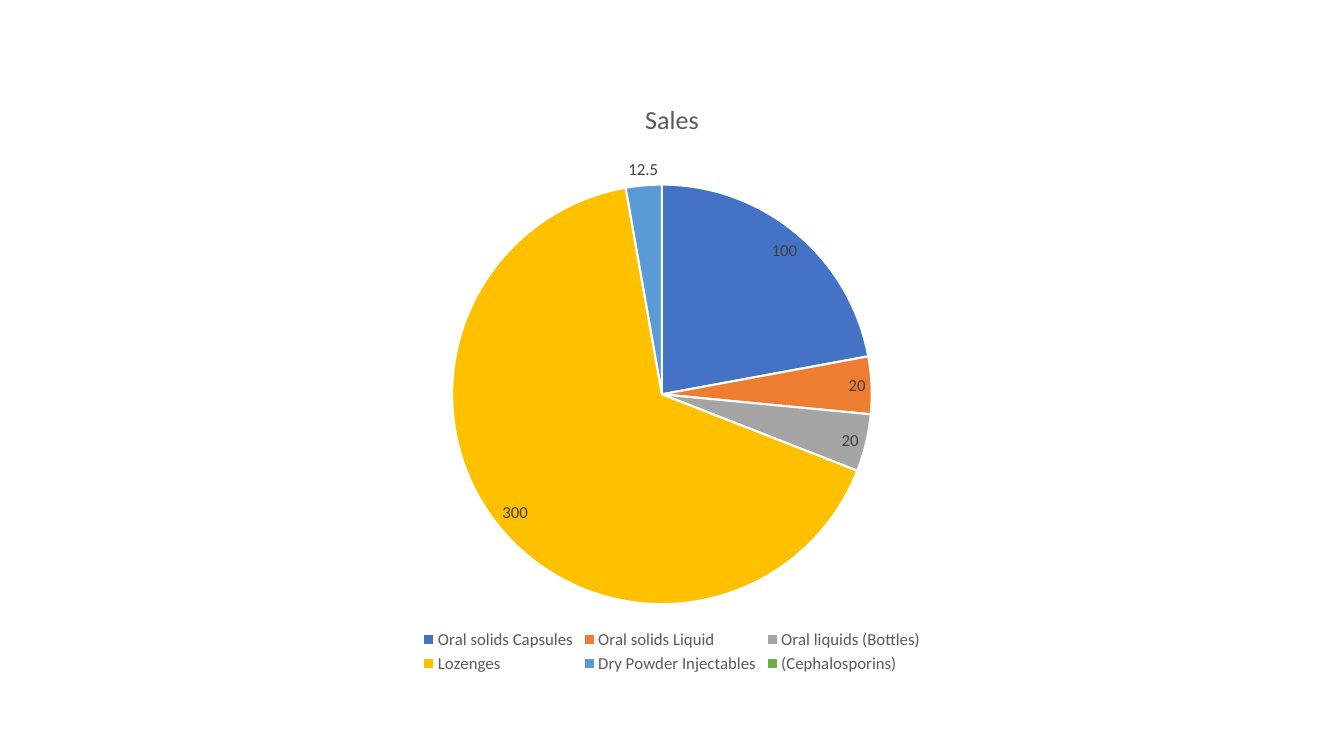
from dataclasses import dataclass
from typing import NamedTuple, Optional

from pptx import Presentation
from pptx.chart.chart import Chart
from pptx.chart.data import CategoryChartData
from pptx.dml.color import RGBColor
from pptx.enum.chart import XL_CHART_TYPE, XL_LABEL_POSITION, XL_LEGEND_POSITION
from pptx.slide import Slide
from pptx.text.text import Font
from pptx.util import Inches, Pt


@dataclass(frozen=True)
class Theme:
    """Font, colours and type sizes of the slide."""
    font: str = "Calibri"
    text: str = "595959"
    label: str = "404040"
    border: str = "FFFFFF"
    title_size: float = 18.6
    body_size: float = 12


class Slice(NamedTuple):
    """One product group of the pie."""
    name: str
    sales: Optional[float]
    color: str


THEME = Theme()
SLICES = [
    Slice("Oral solids Capsules", 100, "4472C4"),
    Slice("Oral solids Liquid", 20, "ED7D31"),
    Slice("Oral liquids (Bottles)", 20, "A5A5A5"),
    Slice("Lozenges", 300, "FFC000"),
    Slice("Dry Powder Injectables", 12.5, "5B9BD5"),
    Slice("(Cephalosporins)", None, "70AD47"),
]


def style_font(font: Font, size: float, color: str) -> None:
    """Set typeface, size and colour, without bold."""
    font.name = THEME.font
    font.size = Pt(size)
    font.bold = False
    font.color.rgb = RGBColor.from_string(color)


def add_sales_pie(page: Slide) -> Chart:
    """Add the sales pie with its title and slice colours."""
    data = CategoryChartData()
    data.categories = [item.name for item in SLICES]
    data.add_series("Sales", [item.sales for item in SLICES])
    chart = page.shapes.add_chart(
        XL_CHART_TYPE.PIE, Inches(2.22), Inches(0.79), Inches(8.89), Inches(5.93), data
    ).chart
    style_font(chart.font, THEME.body_size, THEME.text)

    chart.has_title = True
    chart.chart_title.include_in_layout = False
    title = chart.chart_title.text_frame
    title.text = "Sales"
    style_font(title.paragraphs[0].font, THEME.title_size, THEME.text)

    plot = chart.plots[0]
    plot.vary_by_categories = True
    for index, item in enumerate(SLICES):
        look = plot.series[0].points[index].format
        look.fill.solid()
        look.fill.fore_color.rgb = RGBColor.from_string(item.color)
        look.line.color.rgb = RGBColor.from_string(THEME.border)
        look.line.width = Pt(1.5)
    return chart


def add_labels_and_legend(chart: Chart) -> None:
    """Show the values on the slices and the legend below them."""
    labels = chart.plots[0].series[0].data_labels
    labels.show_value = True
    labels.position = XL_LABEL_POSITION.BEST_FIT
    style_font(labels.font, THEME.body_size, THEME.label)

    chart.has_legend = True
    chart.legend.position = XL_LEGEND_POSITION.BOTTOM
    chart.legend.include_in_layout = False
    style_font(chart.legend.font, THEME.body_size, THEME.text)


def main() -> None:
    """Build and save the deck."""
    deck = Presentation()
    deck.slide_width, deck.slide_height = Inches(13.33), Inches(7.5)
    page = deck.slides.add_slide(deck.slide_layouts[6])
    add_labels_and_legend(add_sales_pie(page))
    deck.save("out.pptx")


main()
